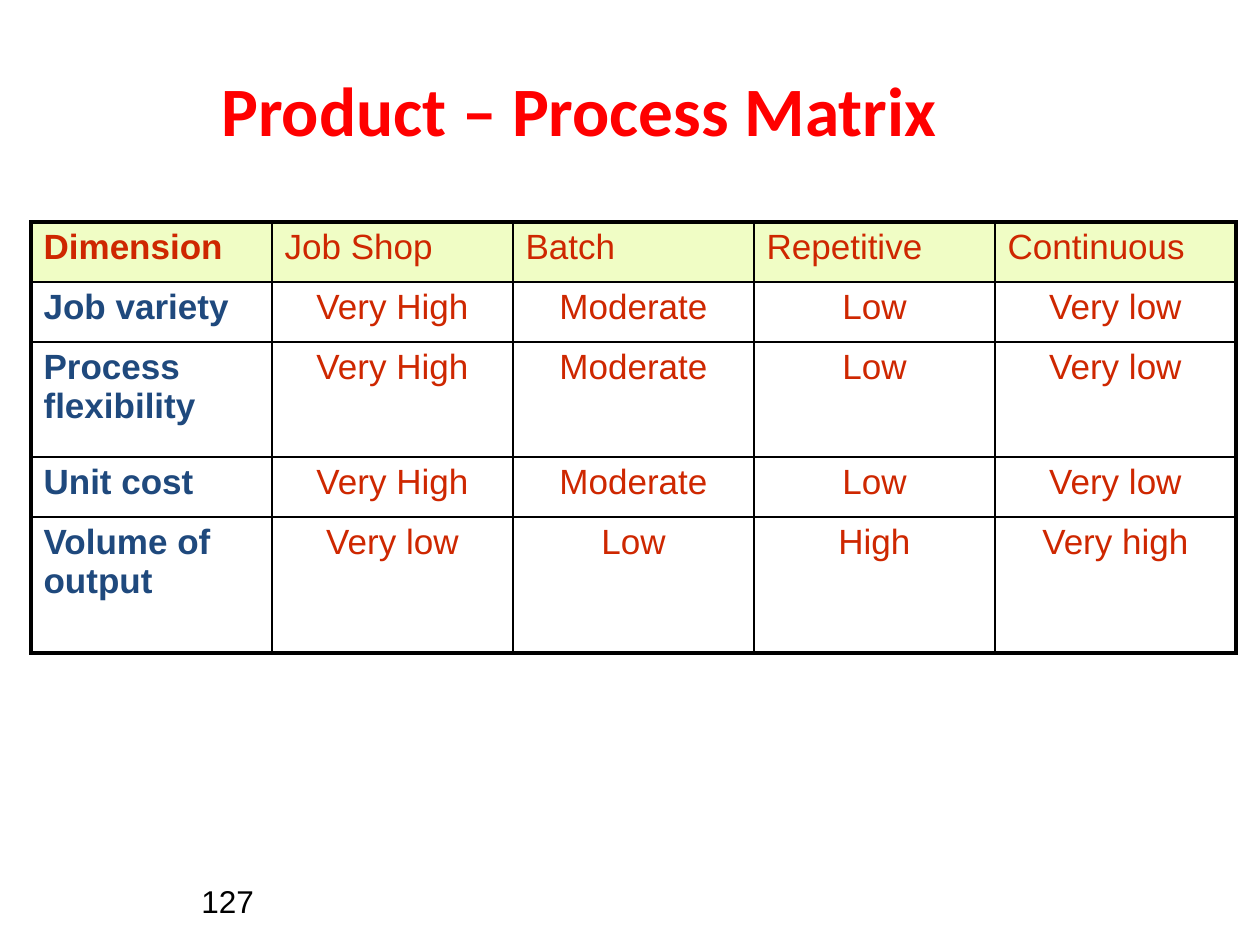
from pptx import Presentation
from pptx import util as u
from pptx.dml.color import RGBColor
from pptx.enum import text
from pptx.oxml import parse_xml
from pptx.oxml.ns import nsdecls

PX = 914400 / 126


def px(count):
    return u.Emu(round(count * PX))


def write(frame, words, size=20, font="Arial", color="CE2700", bold=False,
          align=text.PP_ALIGN.LEFT):
    para = frame.paragraphs[0]
    para.alignment = align
    span = para.add_run()
    span.text = words
    span.font.size = u.Pt(size)
    span.font.name = font
    span.font.bold = bold
    span.font.color.rgb = RGBColor.from_string(color)
    return para


deck = Presentation()
deck.slide_width, deck.slide_height = px(1260), px(945)
page = deck.slides.add_slide(deck.slide_layouts[5])

title = page.shapes.title
title.left, title.top, title.width, title.height = px(44), px(79), px(1070), px(59)
title.text_frame.vertical_anchor = text.MSO_ANCHOR.MIDDLE
title.text_frame.auto_size = text.MSO_AUTO_SIZE.NONE
write(title.text_frame, "Product – Process Matrix", size=39.6, font="Calibri",
      color="FF0000", bold=True, align=text.PP_ALIGN.CENTER)

rows = [
    ["Dimension", "Job Shop", "Batch", "Repetitive", "Continuous"],
    ["Job variety", "Very High", "Moderate", "Low", "Very low"],
    ["Process flexibility", "Very High", "Moderate", "Low", "Very low"],
    ["Unit cost", "Very High", "Moderate", "Low", "Very low"],
    ["Volume of output", "Very low", "Low", "High", "Very high"],
]
heights = [60, 60, 115, 60, 136]
column_width = 241
last_row, last_column = len(rows) - 1, len(rows[0]) - 1

matrix = page.shapes.add_table(len(rows), len(rows[0]), px(31), px(222),
                               px(column_width * len(rows[0])), px(sum(heights))).table
matrix.first_row = False
matrix.horz_banding = False
for column in matrix.columns:
    column.width = px(column_width)

for r, labels in enumerate(rows):
    matrix.rows[r].height = px(heights[r])
    for c, label in enumerate(labels):
        cell = matrix.cell(r, c)
        header, row_name = r == 0, c == 0
        write(cell.text_frame, label, bold=row_name,
              color="1F497D" if row_name and not header else "CE2700",
              align=text.PP_ALIGN.LEFT if header or row_name else text.PP_ALIGN.CENTER)
        outer = {"L": c == 0, "R": c == last_column, "T": r == 0, "B": r == last_row}
        for side, is_outer in outer.items():
            width = u.Pt(2.25 if is_outer else 1)
            cell._tc.get_or_add_tcPr().append(parse_xml(
                f'<a:ln{side} {nsdecls("a")} w="{width}"><a:solidFill>'
                f'<a:srgbClr val="000000"/></a:solidFill></a:ln{side}>'))
        if header:
            cell.fill.solid()
            cell.fill.fore_color.rgb = RGBColor.from_string("F0FDC5")
        else:
            cell.fill.background()

number_box = page.shapes.add_textbox(px(63), px(876), px(294), px(50))
number_box.text_frame.word_wrap = True
number_box.text_frame.vertical_anchor = text.MSO_ANCHOR.MIDDLE
number_para = write(number_box.text_frame, "127", size=18, color="000000")
number_para.level = 2
number_format = number_para._p.get_or_add_pPr()
number_format.set("marL", str(px(126)))
number_format.set("indent", "0")

deck.save("out.pptx")
